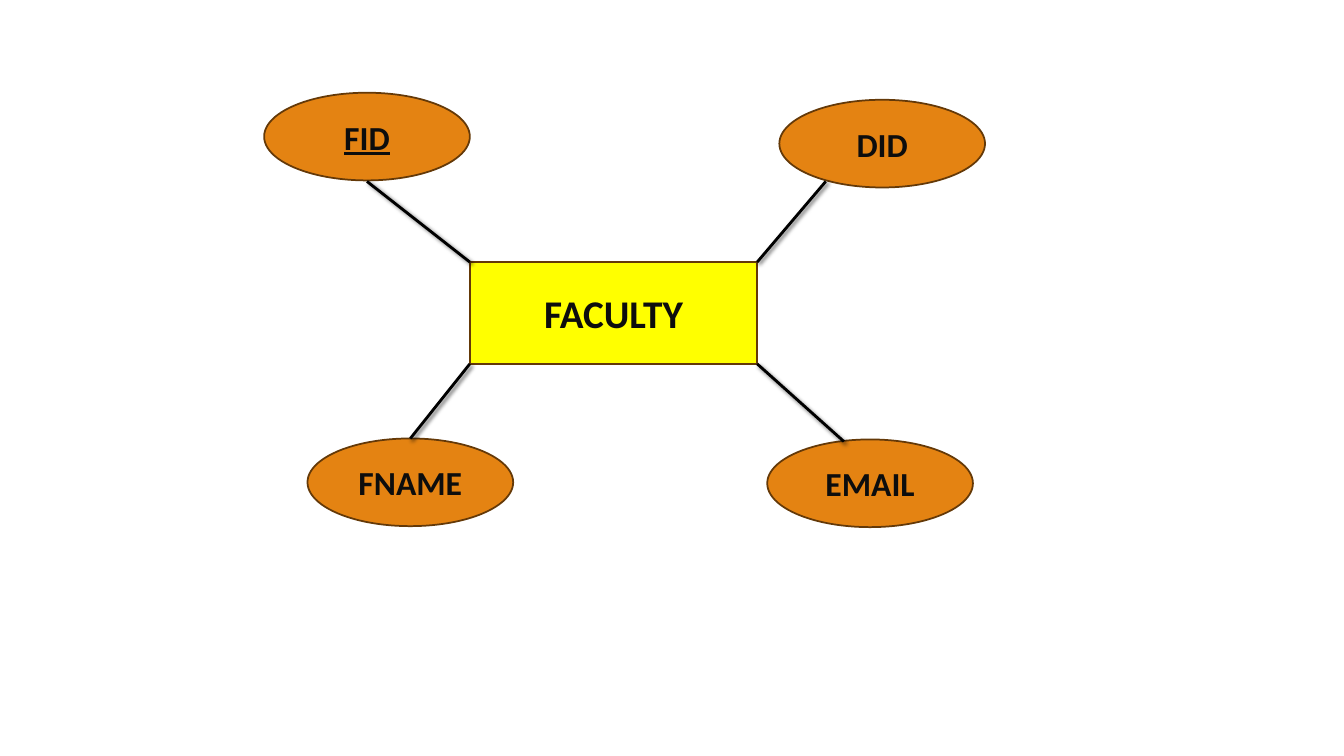
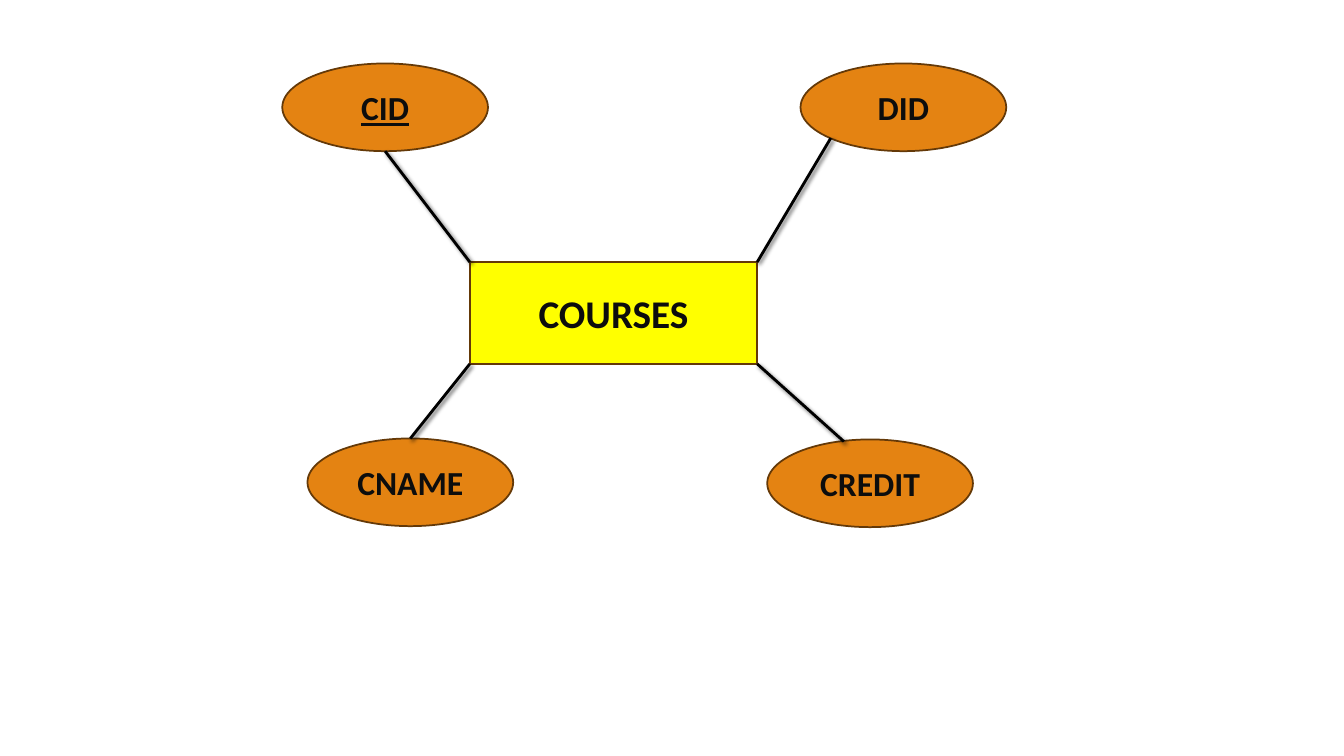
from dataclasses import dataclass

from lxml.etree import SubElement
from pptx import Presentation
from pptx.dml.color import RGBColor
from pptx.enum.shapes import MSO_CONNECTOR, MSO_SHAPE
from pptx.enum.text import MSO_ANCHOR, PP_ALIGN
from pptx.oxml import parse_xml
from pptx.oxml.ns import nsdecls, qn
from pptx.util import Emu, Pt

PX = 9144


@dataclass(frozen=True)
class Theme:
    """Colours, type sizes and line widths of the diagrams."""
    font: str = "Calibri"
    ink: str = "0D0D0D"
    entity: str = "FFFF00"
    attribute: str = "E48312"
    border: str = "643908"
    halo: str = "9B8357"
    link: str = "000000"
    entity_size: int = 28
    attribute_size: int = 24
    border_width: float = 1.25
    link_width: int = 2


def px(n):
    """Turn whole px into EMU."""
    return Emu(n * PX)


def apply(obj, values):
    """Set each named attribute of an object."""
    for name, value in values.items():
        setattr(obj, name, value)


class Diagram:
    """Draws entity-relationship diagrams, one per slide."""

    BOX = (466, 260, 285, 101)
    OVAL = (204, 87)

    def __init__(self, theme):
        """Start an empty wide presentation."""
        self.theme = theme
        self.prs = Presentation()
        apply(self.prs, {"slide_width": px(1333), "slide_height": px(750)})
        self.s = None

    def slide(self):
        """Add a blank slide and make it current."""
        self.s = self.prs.slides.add_slide(self.prs.slide_layouts[6])

    def node(self, kind, box, text, fill, size, underline=False):
        """Add a bordered shape with a centred bold label and return its run."""
        t = self.theme
        sp = self.s.shapes.add_shape(kind, *map(px, box))
        sp.shadow.inherit = False
        sp.fill.solid()
        sp.fill.fore_color.rgb = RGBColor.from_string(fill)
        sp.line.color.rgb = RGBColor.from_string(t.border)
        sp.line.width = Pt(t.border_width)
        tf = sp.text_frame
        apply(tf, {"word_wrap": True, "vertical_anchor": MSO_ANCHOR.MIDDLE})
        p = tf.paragraphs[0]
        p.alignment = PP_ALIGN.CENTER
        r = p.add_run()
        r.text = text
        apply(r.font, {"name": t.font, "size": Pt(size), "bold": True,
                       "underline": underline or None})
        r.font.color.rgb = RGBColor.from_string(t.ink)
        return r

    def entity(self, text):
        """Add the central rectangle with an outlined label."""
        t = self.theme
        r = self.node(MSO_SHAPE.RECTANGLE, self.BOX, text, t.entity, t.entity_size)
        r.font._element.insert(0, parse_xml(
            f'<a:ln {nsdecls("a")} w="{Pt(1)}"><a:solidFill>'
            f'<a:srgbClr val="{t.halo}"/></a:solidFill></a:ln>'))

    def attribute(self, text, left, top, touch, key=False):
        """Add an attribute oval and link it to the nearest entity corner."""
        t = self.theme
        self.node(MSO_SHAPE.OVAL, (left, top, *self.OVAL), text,
                  t.attribute, t.attribute_size, key)
        x, y, w, h = self.BOX
        corner = (x if touch[0] < x + w / 2 else x + w,
                  y if touch[1] < y + h / 2 else y + h)
        self.link(touch, corner)

    def link(self, start, end):
        """Add a straight line with a soft shadow."""
        t = self.theme
        cx = self.s.shapes.add_connector(
            MSO_CONNECTOR.STRAIGHT, *map(px, (*start, *end)))
        cx.line.color.rgb = RGBColor.from_string(t.link)
        cx.line.width = Pt(t.link_width)
        effects = SubElement(cx._element.spPr, qn("a:effectLst"))
        effects.append(parse_xml(
            f'<a:outerShdw {nsdecls("a")} blurRad="{Pt(3)}" dist="{Pt(2)}" '
            f'dir="2700000" rotWithShape="0"><a:srgbClr val="{t.link}">'
            '<a:alpha val="60000"/></a:srgbClr></a:outerShdw>'))

    def draw(self, entity, key, name, ref, extra):
        """Draw one entity with its four attributes."""
        self.slide()
        self.entity(entity)
        self.attribute(*key, key=True)
        self.attribute(name, 305, 435, (407, 435))
        self.attribute(*ref)
        self.attribute(extra, 761, 436, (837, 438))


def main():
    """Build both diagrams and save them."""
    d = Diagram(Theme())
    d.draw("FACULTY", ("FID", 262, 92, (364, 180)), "FNAME",
           ("DID", 773, 99, (819, 180)), "EMAIL")
    d.draw("COURSES", ("CID", 280, 63, (382, 150)), "CNAME",
           ("DID", 794, 63, (824, 137)), "CREDIT")
    d.prs.save("out.pptx")


if __name__ == "__main__":
    main()
